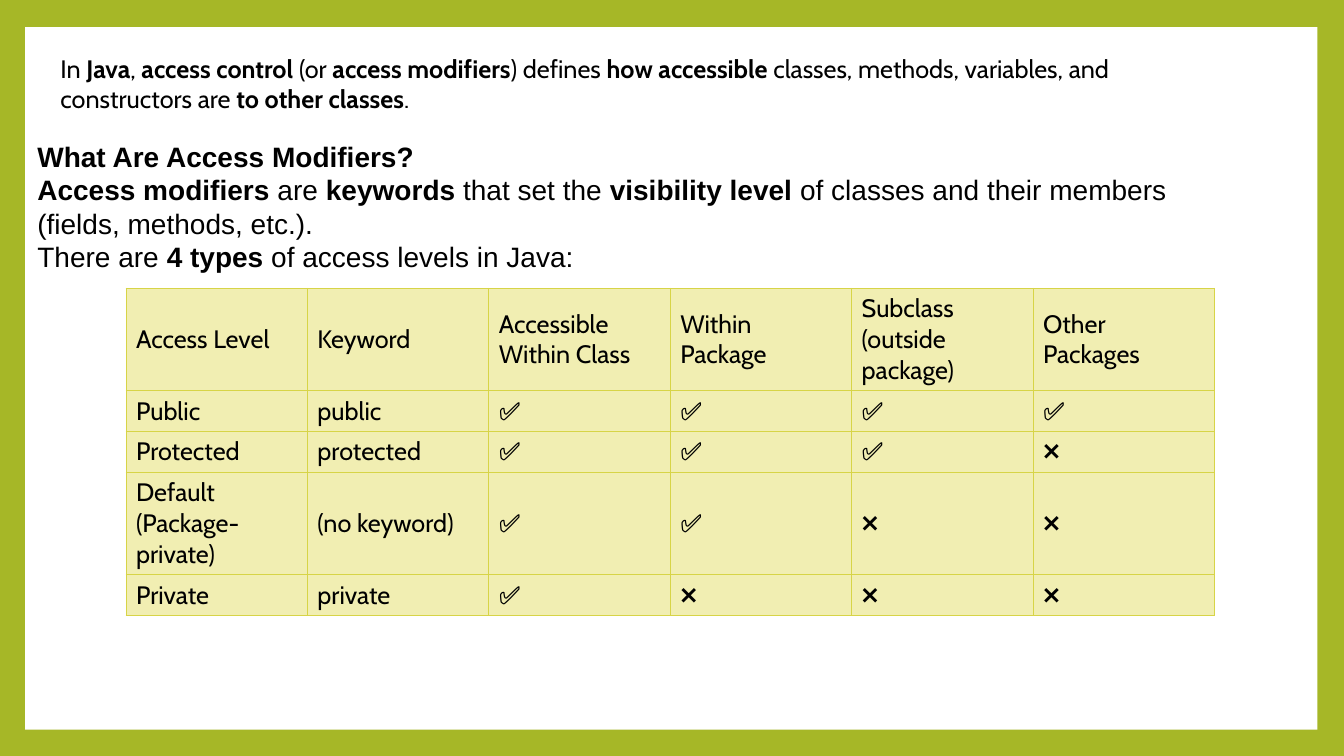
from dataclasses import dataclass
from typing import Any

from lxml.etree import SubElement
from pptx import Presentation
from pptx.dml.color import RGBColor
from pptx.enum.shapes import MSO_SHAPE
from pptx.enum.text import MSO_ANCHOR, MSO_AUTO_SIZE, PP_ALIGN
from pptx.oxml.ns import qn
from pptx.util import Inches, Pt

WIDTH, HEIGHT = Inches(13.33), Inches(7.5)
COLUMN, ROW = WIDTH / 160, HEIGHT / 90


@dataclass(frozen=True)
class Theme:
    frame: RGBColor = RGBColor(0xA6, 0xB7, 0x27)
    panel: RGBColor = RGBColor(0xFF, 0xFF, 0xFF)
    cell: RGBColor = RGBColor(0xF1, 0xEE, 0xB2)
    border: RGBColor = RGBColor(0xD7, 0xD4, 0x47)
    ink: RGBColor = RGBColor(0, 0, 0)
    intro_font: str = "Cabin"
    body_font: str = "Arial"
    intro_size: int = 18
    body_size: int = 20
    border_width: float = 0.79


@dataclass(frozen=True)
class Region:
    left: float
    top: float
    columns: float
    rows: float

    def place(self) -> tuple[int, int, int, int]:
        return (round(self.left * COLUMN), round(self.top * ROW),
                round(self.columns * COLUMN), round(self.rows * ROW))


@dataclass(frozen=True)
class TextBlock:
    region: Region
    lines: tuple[str, ...]
    font: str
    size: int


@dataclass(frozen=True)
class AccessLevel:
    name: str
    keyword: str
    reach: int

    def cells(self) -> list[str]:
        return [self.name, self.keyword, *("✅" if step < self.reach else "❌" for step in range(4))]


THEME = Theme()
PANEL = Region(3, 3.24, 153.84, 83.64)
TABLE = Region(15, 34.32, 129.6, 38.4)
INTRO = TextBlock(
    Region(6, 5.76, 141.6, 8.52),
    ("In **Java**, **access control** (or **access modifiers**) defines **how accessible** "
     "classes, methods, variables, and constructors are **to other classes**.",),
    THEME.intro_font, THEME.intro_size)
EXPLANATION = TextBlock(
    Region(3.24, 15.96, 138.48, 21.36),
    ("**What Are Access Modifiers?**",
     "**Access modifiers** are **keywords** that set the **visibility level** of classes and their members",
     "(fields, methods, etc.).",
     "There are **4 types** of access levels in Java:"),
    THEME.body_font, THEME.body_size)
HEADINGS = ["Access Level", "Keyword", "Accessible Within Class", "Within Package",
            "Subclass (outside package)", "Other Packages"]
LEVELS = [
    AccessLevel("Public", "public", 4),
    AccessLevel("Protected", "protected", 3),
    AccessLevel("Default (Package-private)", "(no keyword)", 2),
    AccessLevel("Private", "private", 1),
]
ROW_HEIGHTS = [12, 4.8, 4.8, 12, 4.8]


def apply(target: Any, formats: dict[str, Any]) -> None:
    for name, value in formats.items():
        setattr(target, name, value)


def write(para: Any, marked: str, font: str, size: int) -> None:
    for index, words in enumerate(marked.split("**")):
        if words:
            span = para.add_run()
            span.text = words
            apply(span.font, {"name": font, "size": Pt(size), "bold": index % 2 == 1})
            span.font.color.rgb = THEME.ink


def fill_placeholder(box: Any, block: TextBlock) -> None:
    apply(box, dict(zip(("left", "top", "width", "height"), block.region.place())))
    frame = box.text_frame
    apply(frame, {"word_wrap": True, "auto_size": MSO_AUTO_SIZE.NONE,
                  "vertical_anchor": MSO_ANCHOR.TOP})
    for index, line in enumerate(block.lines):
        para = frame.add_paragraph() if index else frame.paragraphs[0]
        apply(para, {"alignment": PP_ALIGN.LEFT, "space_before": Pt(0), "space_after": Pt(0)})
        write(para, line, block.font, block.size)
        properties = para._p.get_or_add_pPr()
        properties.set("marL", "0")
        properties.set("indent", "0")
        SubElement(properties, qn("a:buNone"))


def border_cell(cell: Any) -> None:
    properties = cell._tc.get_or_add_tcPr()
    for index, side in enumerate(("a:lnL", "a:lnR", "a:lnT", "a:lnB")):
        line = SubElement(properties, qn(side), w=str(int(Pt(THEME.border_width))))
        SubElement(SubElement(line, qn("a:solidFill")), qn("a:srgbClr"), val=str(THEME.border))
        properties.insert(index, line)


def add_panel(page: Any) -> None:
    panel = page.shapes.add_shape(MSO_SHAPE.RECTANGLE, *PANEL.place())
    panel.shadow.inherit = False
    panel.fill.solid()
    panel.fill.fore_color.rgb = THEME.panel
    panel.line.fill.background()
    page.shapes.element.insert(2, panel.element)


def add_access_table(page: Any) -> None:
    records = [HEADINGS, *(level.cells() for level in LEVELS)]
    table = page.shapes.add_table(len(records), len(HEADINGS), *TABLE.place()).table
    apply(table, {"first_row": False, "horz_banding": False})
    for row, height, record in zip(table.rows, ROW_HEIGHTS, records):
        row.height = round(height * ROW)
        for cell, words in zip(row.cells, record):
            cell.vertical_anchor = MSO_ANCHOR.MIDDLE
            cell.fill.solid()
            cell.fill.fore_color.rgb = THEME.cell
            border_cell(cell)
            write(cell.text_frame.paragraphs[0], words, THEME.intro_font, THEME.intro_size)


def main() -> None:
    deck = Presentation()
    apply(deck, {"slide_width": WIDTH, "slide_height": HEIGHT})
    page = deck.slides.add_slide(deck.slide_layouts[1])
    page.background.fill.solid()
    page.background.fill.fore_color.rgb = THEME.frame
    add_panel(page)
    fill_placeholder(page.shapes.title, INTRO)
    fill_placeholder(page.placeholders[1], EXPLANATION)
    add_access_table(page)
    deck.save("out.pptx")


if __name__ == "__main__":
    main()
